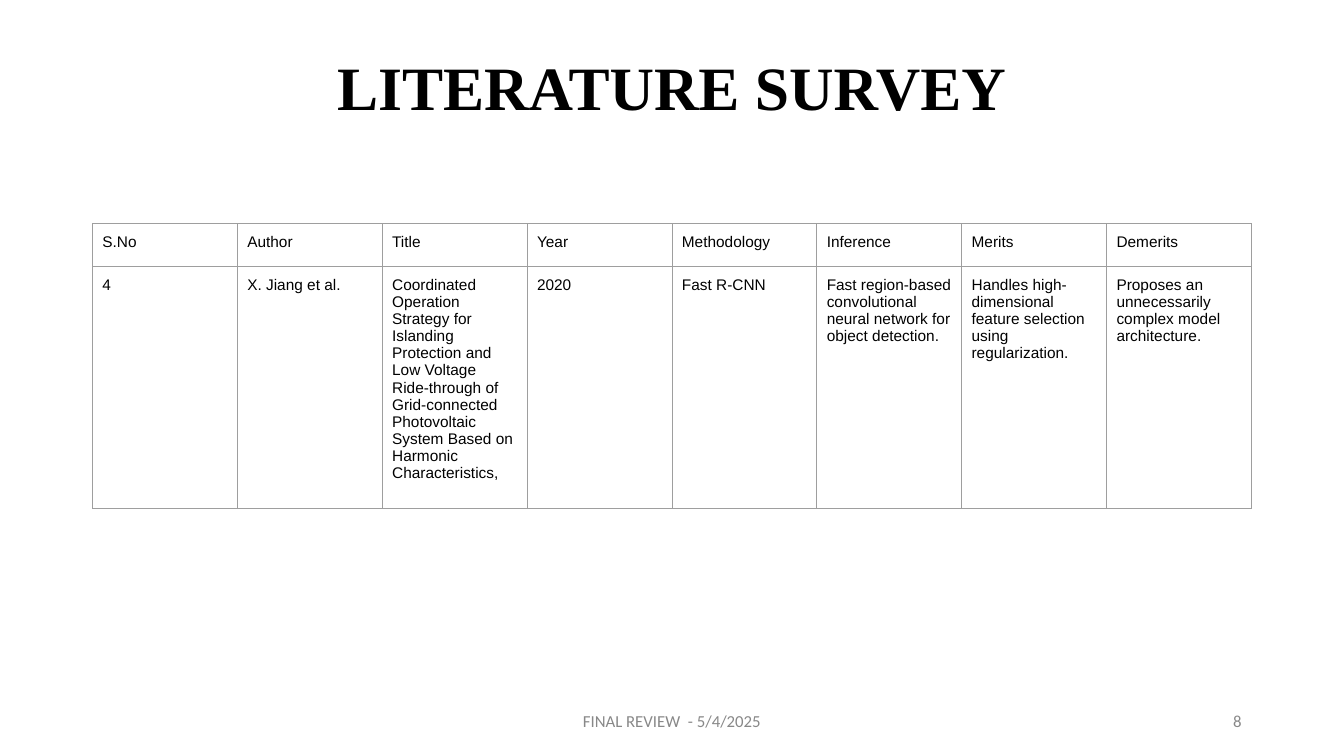
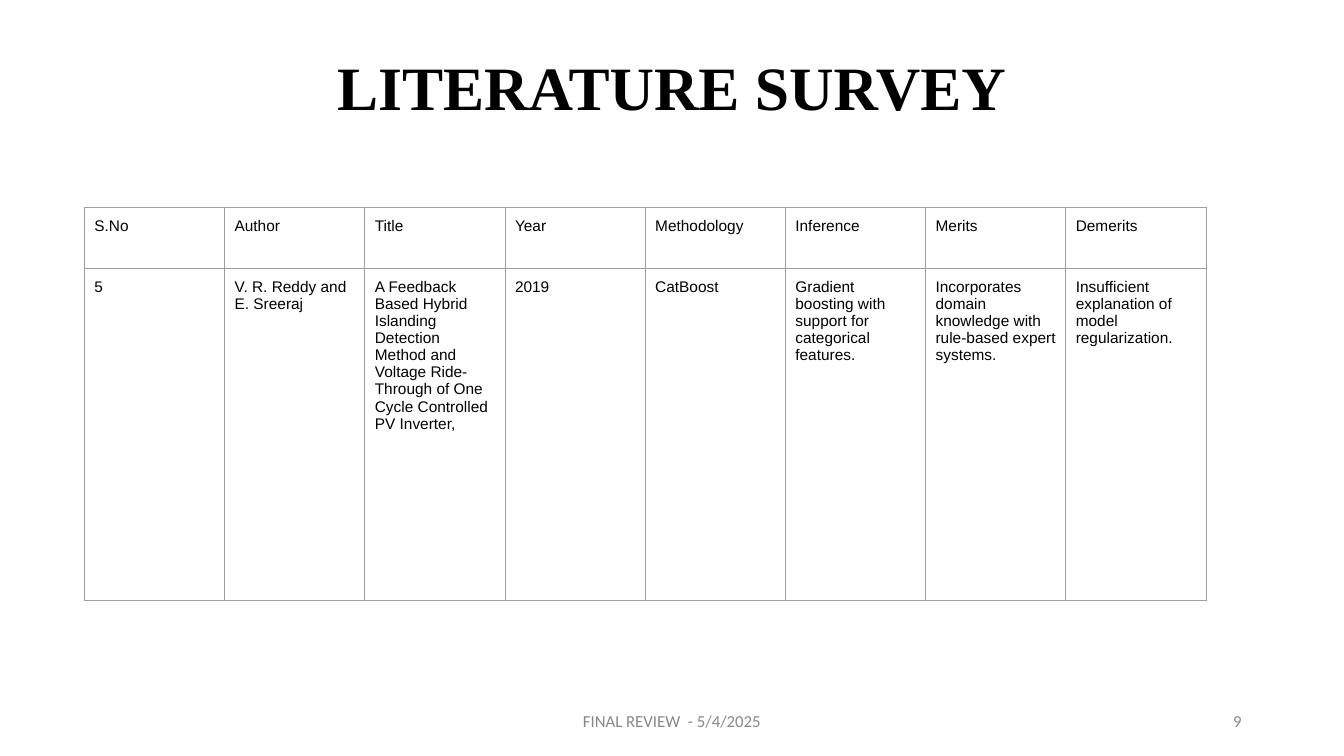
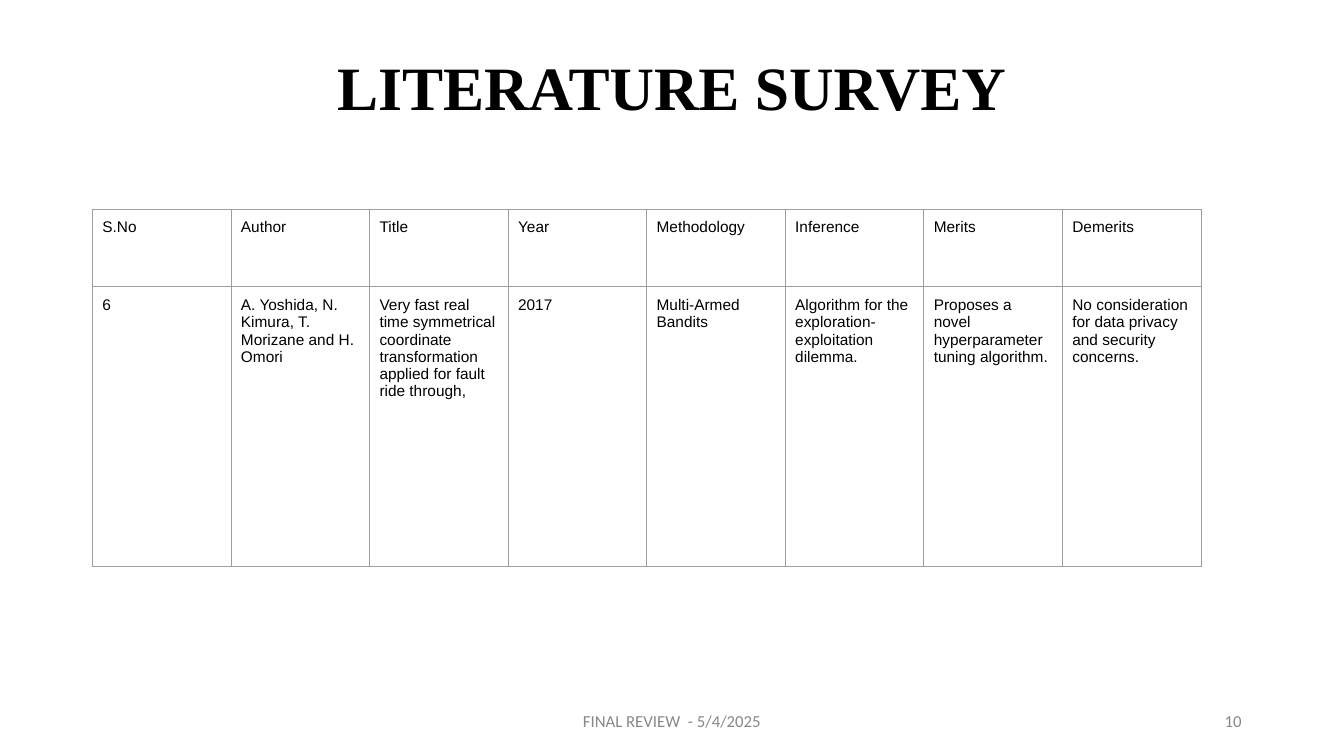
from lxml.etree import SubElement
from pptx import Presentation
from pptx.dml.color import RGBColor
from pptx.enum.text import MSO_ANCHOR, PP_ALIGN
from pptx.oxml.ns import qn
from pptx.util import Cm, Pt

BLACK = RGBColor(0x00, 0x00, 0x00)
FOOTER_GREY = RGBColor(0x88, 0x88, 0x88)
BORDER_GREY = RGBColor(0x9E, 0x9E, 0x9E)
BLANK_LAYOUT = 6
FIRST_SLIDE_NUMBER = 8

TITLE = "LITERATURE SURVEY"
FOOTER = "FINAL REVIEW  - 5/4/2025"
TITLE_BOX = (2.33, 1.01, 29.21, 2.54)
FOOTER_BOX = (11.22, 17.66, 11.43, 1.01)
NUMBER_BOX = (23.92, 17.66, 7.62, 1.01)

TITLE_FONT = {"name": "Times New Roman", "size": Pt(44), "bold": True}
FOOTER_FONT = {"name": "Calibri", "size": Pt(12)}
CELL_FONT = {"name": "Arial", "size": Pt(11), "bold": False}
TITLE_PARAGRAPH = {"alignment": PP_ALIGN.CENTER, "line_spacing": 0.9}
FOOTER_PARAGRAPH = {"alignment": PP_ALIGN.CENTER, "space_before": Pt(1)}
NUMBER_PARAGRAPH = {"alignment": PP_ALIGN.RIGHT}
BOX_FORMAT = {
    "word_wrap": True, "vertical_anchor": MSO_ANCHOR.MIDDLE,
    "margin_left": Cm(0.25), "margin_right": Cm(0.25),
    "margin_top": Cm(0.13), "margin_bottom": Cm(0.13),
}
CELL_FORMAT = {
    "vertical_anchor": MSO_ANCHOR.TOP,
    "margin_left": Cm(0.25), "margin_right": Cm(0.25),
    "margin_top": Cm(0.25), "margin_bottom": Cm(0.25),
}
PLAIN_TABLE = {"first_row": False, "horz_banding": False}

HEADINGS = ("S.No", "Author", "Title", "Year",
            "Methodology", "Inference", "Merits", "Demerits")

# Each survey: left, top and width of the table, its row heights, its entry
SURVEYS = (
    (2.33, 5.64, 29.21, (1.07, 5.69), (
        "4", "X. Jiang et al.",
        "Coordinated Operation Strategy for Islanding Protection and Low "
        "Voltage Ride-through of Grid-connected Photovoltaic System Based "
        "on Harmonic Characteristics,",
        "2020", "Fast R-CNN",
        "Fast region-based convolutional neural network for object detection.",
        "Handles high-dimensional feature selection using regularization.",
        "Proposes an unnecessarily complex model architecture.")),
    (2.13, 5.24, 28.27, (1.52, 8.36), (
        "5", "V. R. Reddy and E. Sreeraj",
        "A Feedback Based Hybrid Islanding Detection Method and Voltage "
        "Ride-Through of One Cycle Controlled PV Inverter,",
        "2019", "CatBoost",
        "Gradient boosting with support for categorical features.",
        "Incorporates domain knowledge with rule-based expert systems.",
        "Insufficient explanation of model regularization.")),
    (2.33, 5.27, 27.94, (1.96, 7.04), (
        "6", "A. Yoshida, N. Kimura, T. Morizane and H. Omori",
        "Very fast real time symmetrical coordinate transformation applied "
        "for fault ride through,",
        "2017", "Multi-Armed Bandits",
        "Algorithm for the exploration-exploitation dilemma.",
        "Proposes a novel hyperparameter tuning algorithm.",
        "No consideration for data privacy and security concerns.")),
)


def apply_format(target, values):
    for name, value in values.items():
        setattr(target, name, value)


def write_text(text_frame, text, font, color, paragraph_format):
    paragraph = text_frame.paragraphs[0]
    apply_format(paragraph, paragraph_format)
    run = paragraph.add_run()
    run.text = text
    apply_format(run.font, font)
    run.font.color.rgb = color


def add_text(slide, box, text, font, color, paragraph_format):
    shape = slide.shapes.add_textbox(*map(Cm, box))
    apply_format(shape.text_frame, BOX_FORMAT)
    write_text(shape.text_frame, text, font, color, paragraph_format)


def add_borders(cell):
    properties = cell._tc.get_or_add_tcPr()
    for side in ("a:lnL", "a:lnR", "a:lnT", "a:lnB"):
        line = SubElement(properties, qn(side), w=str(Pt(0.75)))
        fill = SubElement(line, qn("a:solidFill"))
        SubElement(fill, qn("a:srgbClr"), val=str(BORDER_GREY))


def fill_cell(cell, text):
    apply_format(cell, CELL_FORMAT)
    write_text(cell.text_frame, text, CELL_FONT, BLACK,
               {"alignment": PP_ALIGN.LEFT})
    add_borders(cell)
    cell.fill.background()


def add_survey_table(slide, left, top, width, row_heights, entry):
    rows = (HEADINGS, entry)
    frame = slide.shapes.add_table(
        len(rows), len(HEADINGS), Cm(left), Cm(top), Cm(width),
        Cm(sum(row_heights)))
    table = frame.table
    apply_format(table, PLAIN_TABLE)
    for row, height, texts in zip(table.rows, row_heights, rows):
        row.height = Cm(height)
        for cell, text in zip(row.cells, texts):
            fill_cell(cell, text)


def add_survey_slide(presentation, number, survey):
    layout = presentation.slide_layouts[BLANK_LAYOUT]
    slide = presentation.slides.add_slide(layout)
    add_text(slide, TITLE_BOX, TITLE, TITLE_FONT, BLACK, TITLE_PARAGRAPH)
    add_text(slide, FOOTER_BOX, FOOTER, FOOTER_FONT, FOOTER_GREY,
             FOOTER_PARAGRAPH)
    add_text(slide, NUMBER_BOX, str(number), FOOTER_FONT, FOOTER_GREY,
             NUMBER_PARAGRAPH)
    add_survey_table(slide, *survey)


def main():
    presentation = Presentation()
    presentation.slide_width = Cm(33.87)
    presentation.slide_height = Cm(19.05)
    for number, survey in enumerate(SURVEYS, FIRST_SLIDE_NUMBER):
        add_survey_slide(presentation, number, survey)
    presentation.save("out.pptx")


if __name__ == "__main__":
    main()
